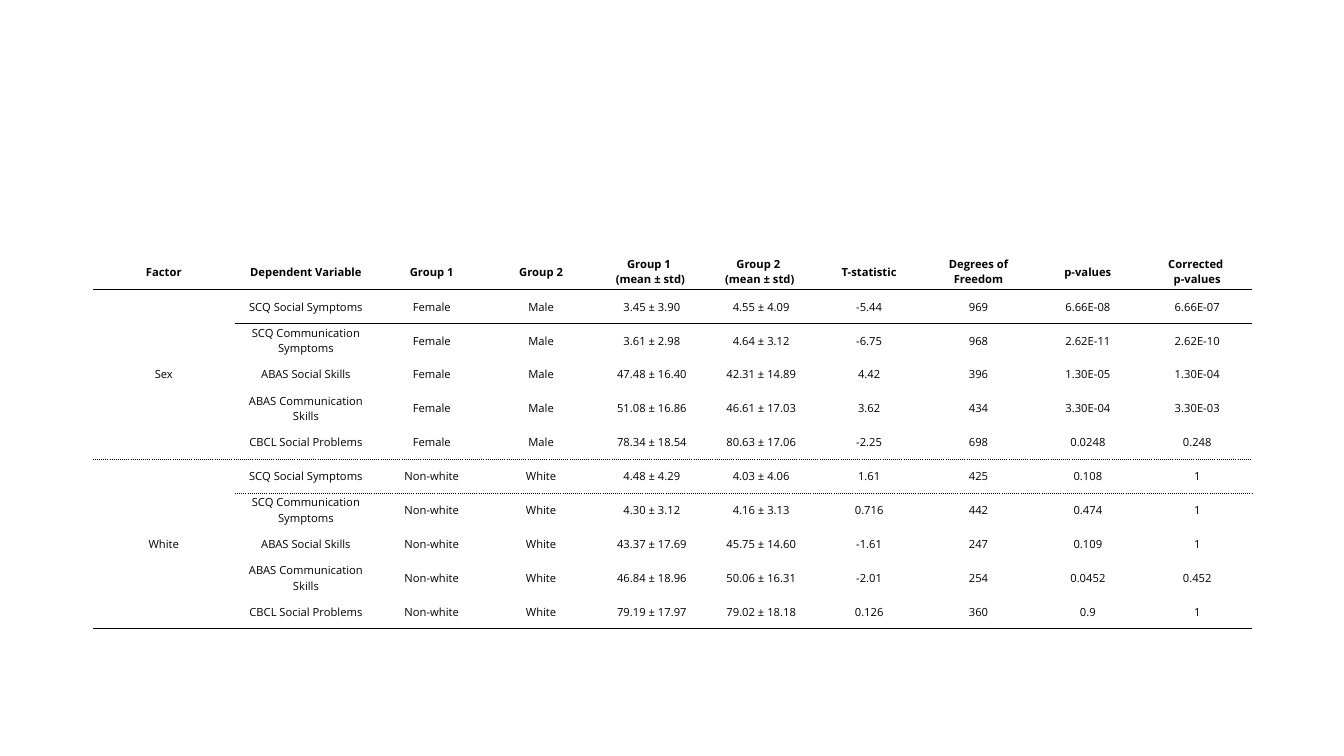
from dataclasses import dataclass
from typing import NamedTuple

from lxml import etree
from pptx import Presentation
from pptx.dml.color import RGBColor
from pptx.enum.text import MSO_ANCHOR, PP_ALIGN
from pptx.oxml.ns import qn
from pptx.util import Inches, Pt

CENTER = PP_ALIGN.CENTER
MIDDLE = MSO_ANCHOR.MIDDLE
PLAIN_TABLE_STYLE = "{2D5ABB26-0587-4C30-8999-92F81FD0307C}"


@dataclass(frozen=True)
class Theme:
    font: str = "Open Sans"
    ink: str = "000000"
    text_size: float = 8
    rule_width: float = 0.5
    solid: str = "solid"
    dotted: str = "sysDot"


@dataclass(frozen=True)
class Grid:
    slide_width: float = 13.33
    slide_height: float = 7.5
    left: float = 0.92
    top: float = 2.51
    width: float = 11.5
    height: float = 3.73
    label_column: float = 1.41
    label_columns: int = 2
    header_row: float = 0.36
    cell_inset: float = 0.01

    def column_widths(self, count: int) -> list[float]:
        value_columns = count - self.label_columns
        shared = self.width - self.label_columns * self.label_column
        return ([self.label_column] * self.label_columns
                + [shared / value_columns] * value_columns)

    def row_heights(self, count: int) -> list[float]:
        body_rows = count - 1
        return [self.header_row] + [(self.height - self.header_row) / body_rows] * body_rows


class Test(NamedTuple):
    mean_1: str
    mean_2: str
    t_statistic: str
    freedom: str
    p_value: str
    corrected: str


class Factor(NamedTuple):
    name: str
    group_1: str
    group_2: str
    tests: list[Test]


THEME = Theme()
GRID = Grid()

HEADINGS = ["Factor", "Dependent Variable", "Group 1", "Group 2",
            "Group 1 \n(mean ± std)", "Group 2 \n(mean ± std)", "T-statistic",
            "Degrees of Freedom", "p-values", "Corrected \np-values"]
VARIABLES = ["SCQ Social Symptoms", "SCQ Communication Symptoms", "ABAS Social Skills",
             "ABAS Communication Skills", "CBCL Social Problems"]
FACTORS = [
    Factor("Sex", "Female", "Male", [
        Test("3.45 ± 3.90", "4.55 ± 4.09", "-5.44", "969", "6.66E-08", "6.66E-07"),
        Test("3.61 ± 2.98", "4.64 ± 3.12", "-6.75", "968", "2.62E-11", "2.62E-10"),
        Test("47.48 ± 16.40", "42.31 ± 14.89", "4.42", "396", "1.30E-05", "1.30E-04"),
        Test("51.08 ± 16.86", "46.61 ± 17.03", "3.62", "434", "3.30E-04", "3.30E-03"),
        Test("78.34 ± 18.54", "80.63 ± 17.06", "-2.25", "698", "0.0248", "0.248"),
    ]),
    Factor("White", "Non-white", "White", [
        Test("4.48 ± 4.29", "4.03 ± 4.06", "1.61", "425", "0.108", "1"),
        Test("4.30 ± 3.12", "4.16 ± 3.13", "0.716", "442", "0.474", "1"),
        Test("43.37 ± 17.69", "45.75 ± 14.60", "-1.61", "247", "0.109", "1"),
        Test("46.84 ± 18.96", "50.06 ± 16.31", "-2.01", "254", "0.0452", "0.452"),
        Test("79.19 ± 17.97", "79.02 ± 18.18", "0.126", "360", "0.9", "1"),
    ]),
]


def table_rows() -> list[list[str]]:
    rows = [HEADINGS]
    for factor in FACTORS:
        for index, (variable, test) in enumerate(zip(VARIABLES, factor.tests)):
            rows.append([factor.name if index == 0 else "", variable,
                         factor.group_1, factor.group_2,
                         f" {test.mean_1}", f" {test.mean_2}", *test[2:]])
    return rows


def draw_rule(cell, side: str, dash: str) -> None:
    rule = etree.SubElement(cell._tc.get_or_add_tcPr(), qn(f"a:{side}"),
                            w=str(Pt(THEME.rule_width)))
    ink = etree.SubElement(rule, qn("a:solidFill"))
    etree.SubElement(ink, qn("a:srgbClr"), val=THEME.ink)
    etree.SubElement(rule, qn("a:prstDash"), val=dash)


def write_cell(cell, wording: str, bold: bool) -> None:
    cell.fill.background()
    cell.vertical_anchor = MIDDLE
    cell.margin_left = cell.margin_right = cell.margin_top = Inches(GRID.cell_inset)
    cell.margin_bottom = 0
    paragraph = cell.text_frame.paragraphs[0]
    paragraph.text = wording
    paragraph.alignment = CENTER
    paragraph.font.size = Pt(THEME.text_size)
    for run in paragraph.runs:
        run.font.name = THEME.font
        run.font.size = Pt(THEME.text_size)
        run.font.bold = bold
        run.font.color.rgb = RGBColor.from_string(THEME.ink)


def draw_results(slide) -> None:
    rows = table_rows()
    frame = slide.shapes.add_table(len(rows), len(HEADINGS), Inches(GRID.left),
                                   Inches(GRID.top), Inches(GRID.width), Inches(GRID.height))
    results = frame.table
    results.first_row = results.horz_banding = False
    results._tbl.tblPr.find(qn("a:tableStyleId")).text = PLAIN_TABLE_STYLE
    for column, width in zip(results.columns, GRID.column_widths(len(HEADINGS))):
        column.width = Inches(width)
    for row, height in zip(results.rows, GRID.row_heights(len(rows))):
        row.height = Inches(height)

    group_size = len(VARIABLES)
    rules_below = {0: THEME.solid, group_size: THEME.dotted, 2 * group_size: THEME.solid}
    for row_index, wordings in enumerate(rows):
        for column_index, wording in enumerate(wordings):
            cell = results.cell(row_index, column_index)
            if row_index - 1 in rules_below:
                draw_rule(cell, "lnT", rules_below[row_index - 1])
            below = row_index
            if column_index == 0 and row_index % group_size == 1:
                below = row_index + group_size - 1
            if below in rules_below:
                draw_rule(cell, "lnB", rules_below[below])
            write_cell(cell, wording, bold=row_index == 0)
    for first in range(1, len(rows), group_size):
        results.cell(first, 0).merge(results.cell(first + group_size - 1, 0))


def main() -> None:
    deck = Presentation()
    deck.slide_width = Inches(GRID.slide_width)
    deck.slide_height = Inches(GRID.slide_height)
    draw_results(deck.slides.add_slide(deck.slide_layouts[6]))
    deck.save("out.pptx")


main()
